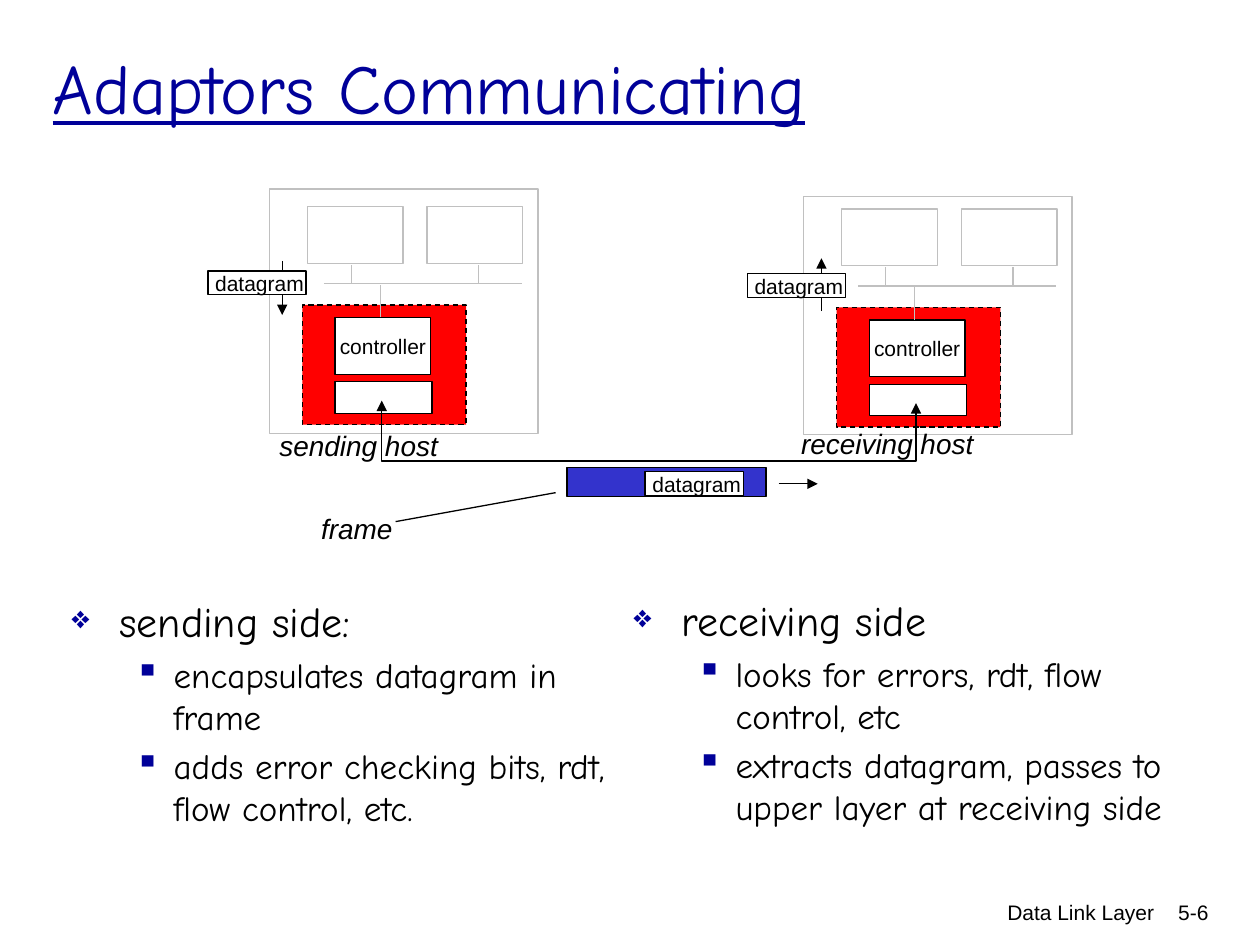
from pptx import Presentation
from pptx import util as u
from pptx.dml.color import RGBColor
from pptx.enum import dml, shapes, text
from pptx.oxml.ns import qn
from lxml import etree

BLACK = RGBColor(0, 0, 0)
WHITE = RGBColor(255, 255, 255)
GRAY = RGBColor(0xC0, 0xC0, 0xC0)
RED = RGBColor(255, 0, 0)
BLUE = RGBColor(0x33, 0x33, 0xCC)
NAVY = RGBColor(0, 0, 0x99)
COMIC = "Comic Neue"

LISTS = [
    ((0.47, 4.68, 4.45, 2.12), "sending side:",
     ["encapsulates datagram in frame",
      "adds error checking bits, rdt, flow control, etc."]),
    ((4.93, 4.67, 4.47, 2.02), "receiving side",
     ["looks for errors, rdt, flow control, etc",
      "extracts datagram, passes to upper layer at receiving side"]),
]
FOOTER = [("Data Link Layer", (6.09, 7.09, 3.17, 0.5)),
          ("5-6", (8.95, 7.09, 0.74, 0.5))]
CAPTIONS = [("sending host", (2.12, 3.35, 1.46, 0.37)),
            ("receiving host", (6.26, 3.34, 1.57, 0.37)),
            ("frame", (2.45, 4.01, 0.77, 0.37))]
HOSTS = [((2.14, 1.5, 2.13, 1.94), 0, 0),
         ((6.38, 1.56, 2.13, 1.89), 4.24, 0.02)]
CHIPS = [(2.44, 1.64), (3.39, 1.64)]
BUS = [(2.57, 2.25, 4.14, 2.25), (3.02, 2.52, 3.02, 2.26),
       (2.79, 2.25, 2.79, 2.1), (3.8, 2.25, 3.8, 2.1)]
ARROWS = [(2.24, 2.07, 2.24, 2.5), (6.52, 2.47, 6.52, 2.05),
          (6.18, 3.84, 6.49, 3.84)]
TAGS = [(1.65, 2.15), (5.93, 2.17), (5.12, 3.74)]
LINK = [(3.03, 3.18), (3.03, 3.66), (7.27, 3.66), (7.27, 3.2)]

prs = Presentation()
prs.slide_width, prs.slide_height = u.Inches(10), u.Inches(7.5)
slide = prs.slides.add_slide(prs.slide_layouts[6])
tree = slide.shapes


def inch(vals):
    return [u.Inches(v) for v in vals]


def write(par, words, size, font="Arial", color=BLACK):
    run = par.add_run()
    run.text = words
    run.font.size = u.Pt(size)
    run.font.name = font
    run.font.color.rgb = color
    return run


def label(words, box, size, wrap=True, **style):
    frame = tree.add_textbox(*inch(box)).text_frame
    frame.word_wrap = wrap
    if not wrap:
        frame.auto_size = text.MSO_AUTO_SIZE.SHAPE_TO_FIT_TEXT
    return frame, write(frame.paragraphs[0], words, size, **style)


def rect(box, fill=WHITE, line=BLACK):
    shape = tree.add_shape(shapes.MSO_SHAPE.RECTANGLE, *inch(box))
    shape.shadow.inherit = False
    shape.fill.solid()
    shape.fill.fore_color.rgb = fill
    shape.line.color.rgb = line
    shape.line.width = u.Pt(0.75)
    return shape


def tip(shape, *ends):
    ln = shape.element.spPr.find(qn("a:ln"))
    for end in ends:
        etree.SubElement(ln, qn("a:" + end), type="triangle")


def wire(ends, color=BLACK):
    line = tree.add_connector(shapes.MSO_CONNECTOR.STRAIGHT, *inch(ends))
    line.line.color.rgb = color
    line.line.width = u.Pt(0.75)
    etree.SubElement(line.element.spPr, qn("a:effectLst"))
    return line


def bullet(par, mark, left, hang, scale):
    props = par._p.get_or_add_pPr()
    props.set("marL", str(u.Inches(left)))
    props.set("indent", str(-u.Inches(hang)))
    tint = etree.SubElement(props, qn("a:buClr"))
    etree.SubElement(tint, qn("a:srgbClr"), val=str(NAVY))
    etree.SubElement(props, qn("a:buSzPct"), val=str(scale * 1000))
    etree.SubElement(props, qn("a:buChar"), char=mark)


def host(case, dx, dy):
    def move(x, y, w, h):
        return x + dx, y + dy, w, h

    rect(case, line=GRAY)
    card = rect(move(2.4, 2.42, 1.3, 0.95), RED)
    card.line.dash_style = dml.MSO_LINE.DASH
    rect(move(2.66, 3.03, 0.77, 0.25))
    frame = rect(move(2.66, 2.52, 0.76, 0.45)).text_frame
    frame.word_wrap = False
    frame.vertical_anchor = text.MSO_ANCHOR.MIDDLE
    frame.paragraphs[0].alignment = text.PP_ALIGN.CENTER
    write(frame.paragraphs[0], "controller", 12)
    for x, y in CHIPS:
        rect(move(x, y, 0.76, 0.45), line=GRAY)
    for x1, y1, x2, y2 in BUS:
        wire((x1 + dx, y1 + dy, x2 + dx, y2 + dy), GRAY)


for words, box in FOOTER:
    frame, run = label(words, box, 12)
    frame.paragraphs[0].alignment = text.PP_ALIGN.RIGHT

frame, run = label("Adaptors Communicating", (0.32, 0.06, 8.5, 1.25), 40,
                   font=COMIC, color=NAVY)
frame.vertical_anchor = text.MSO_ANCHOR.MIDDLE
run.font.underline = True

for box, head, items in LISTS:
    frame, run = label(head, box, 24, font=COMIC)
    par = frame.paragraphs[0]
    par.space_before = u.Pt(4.8)
    bullet(par, "❖", 0.38, 0.38, 75)
    for item in items:
        par = frame.add_paragraph()
        par.level = 1
        par.space_before = u.Pt(4)
        bullet(par, "▪", 0.81, 0.31, 100)
        write(par, item, 20, COMIC)

rect((4.5, 3.71, 1.58, 0.23), BLUE)
for spot in HOSTS:
    host(*spot)
for words, box in CAPTIONS:
    label(words, box, 16, wrap=False)[1].font.italic = True
for ends in ARROWS:
    tip(wire(ends), "tailEnd")
for x, y in TAGS:
    rect((x, y, 0.78, 0.19))
    label("datagram", (x - 0.04, y - 0.05, 0.93, 0.3), 12, wrap=False)

points = [inch(p) for p in LINK]
pen = tree.build_freeform(*points[0])
pen.add_line_segments(points[1:], close=False)
link = pen.convert_to_shape()
link.shadow.inherit = False
link.fill.background()
link.line.color.rgb = BLACK
link.line.width = u.Pt(0.75)
tip(link, "headEnd", "tailEnd")
wire((3.14, 4.14, 4.41, 3.91))

prs.save("out.pptx")
